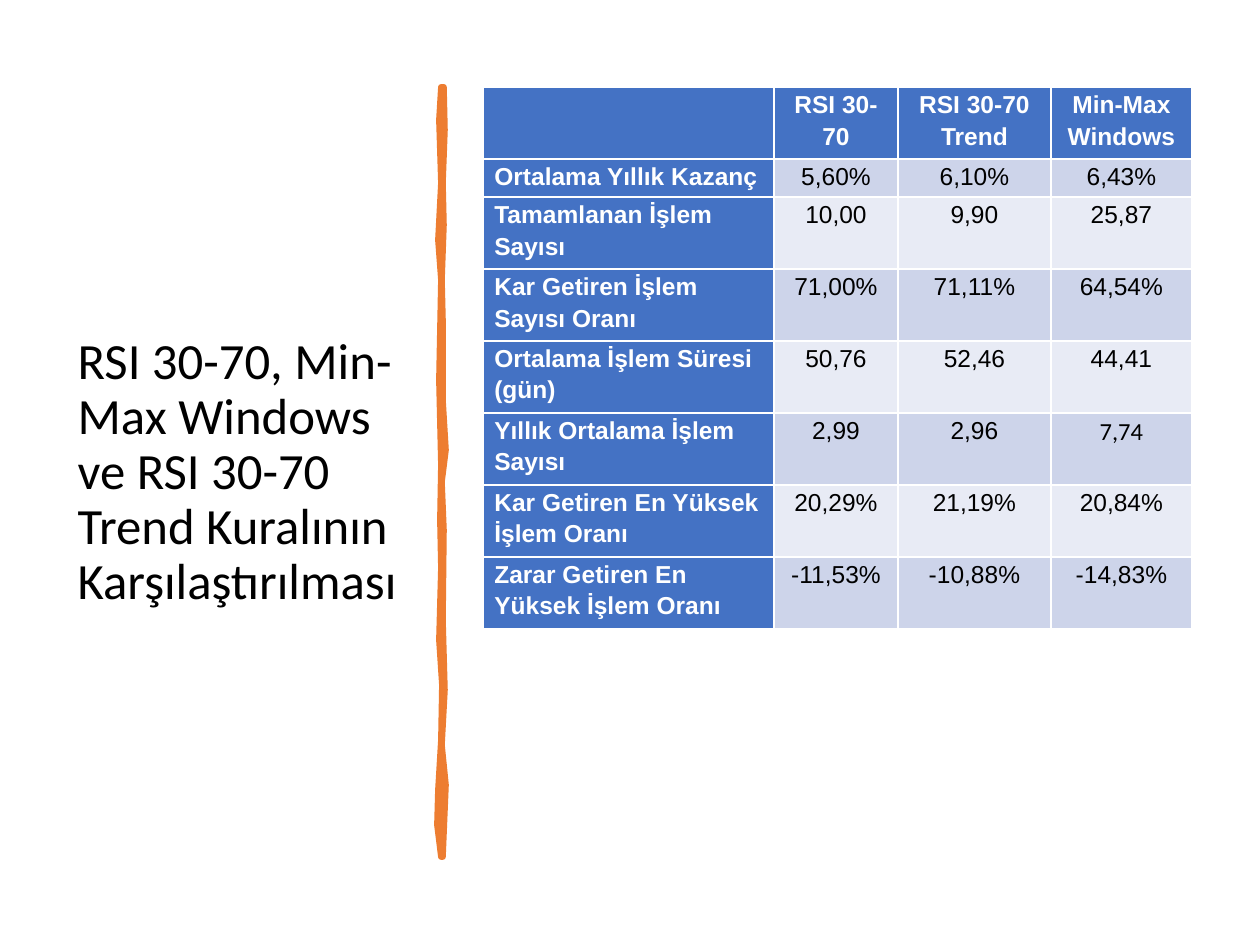
from pptx import Presentation
from pptx import util as u
from pptx.dml.color import RGBColor
from pptx.enum import text

COLOURS = {
    "black": "000000", "white": "FFFFFF", "header": "4472C4",
    "band_dark": "CDD4EA", "band_light": "E8EBF5", "divider": "ED7D31",
}
TITLE = "RSI 30-70, Min-Max Windows ve RSI 30-70 Trend Kuralının Karşılaştırılması"
ROWS = [
    ["", "RSI 30-70", "RSI 30-70 Trend", "Min-Max Windows"],
    ["Ortalama Yıllık Kazanç", "5,60%", "6,10%", "6,43%"],
    ["Tamamlanan İşlem Sayısı", "10,00", "9,90", "25,87"],
    ["Kar Getiren İşlem Sayısı Oranı", "71,00%", "71,11%", "64,54%"],
    ["Ortalama İşlem Süresi (gün)", "50,76", "52,46", "44,41"],
    ["Yıllık Ortalama İşlem Sayısı", "2,99", "2,96", "7,74"],
    ["Kar Getiren En Yüksek İşlem Oranı", "20,29%", "21,19%", "20,84%"],
    ["Zarar Getiren En Yüksek İşlem Oranı", "-11,53%", "-10,88%", "-14,83%"],
]
COLUMN_WIDTHS = [291, 124, 153, 141]
ROW_HEIGHTS = [72, 38] + [72] * 6
CALIBRI_CELL = (5, 3)
DIVIDER_LEFT = [
    (441, 87), (439, 120), (441, 183), (438, 240), (441, 280), (439, 380),
    (441, 465), (440, 520), (441, 568), (439, 640), (442, 685), (441, 740),
    (438, 790), (437, 825), (441, 857),
]
DIVIDER_RIGHT = [
    (444, 87), (445, 130), (443, 183), (444, 225), (442, 280), (443, 320),
    (443, 400), (446, 450), (442, 482), (444, 530), (443, 620), (445, 690),
    (442, 745), (446, 785), (443, 857),
]


def emu(px):
    return u.Emu(round(px * u.Inches(1) / 126))


def apply(target, **values):
    for name, value in values.items():
        setattr(target, name, value)


def colour(name):
    return RGBColor.from_string(COLOURS[name])


class SlideBuilder:
    def __init__(self, presentation):
        self.slide = presentation.slides.add_slide(presentation.slide_layouts[5])

    def add_words(self, frame, words, size, font="Arial", ink="black", bold=False,
                  align=text.PP_ALIGN.CENTER, spacing=1.15):
        paragraph = frame.paragraphs[0]
        apply(paragraph, alignment=align, line_spacing=spacing)
        run = paragraph.add_run()
        run.text = words
        apply(run.font, name=font, size=u.Pt(size), bold=bold)
        run.font.color.rgb = colour(ink)

    def title(self, words, left, top, width, height):
        shape = self.slide.shapes.title
        apply(shape, left=emu(left), top=emu(top), width=emu(width), height=emu(height))
        apply(shape.text_frame, word_wrap=True, auto_size=text.MSO_AUTO_SIZE.NONE,
              vertical_anchor=text.MSO_ANCHOR.MIDDLE)
        self.add_words(shape.text_frame, words, 29, "Calibri",
                       align=text.PP_ALIGN.LEFT, spacing=0.9)

    def brush_stroke(self, left_edge, right_edge, ink):
        """Draw a closed outline down one edge and back up the other."""
        start, *others = left_edge + right_edge[::-1]
        builder = self.slide.shapes.build_freeform(*start, scale=emu(1))
        builder.add_line_segments(others)
        shape = builder.convert_to_shape()
        shape.shadow.inherit = False
        shape.fill.solid()
        shape.fill.fore_color.rgb = colour(ink)
        shape.line.color.rgb = colour(ink)
        shape.line.width = u.Pt(3.25)

    def table(self, rows, left, top, widths, heights):
        table = self.slide.shapes.add_table(
            len(rows), len(widths), emu(left), emu(top),
            emu(sum(widths)), emu(sum(heights))).table
        apply(table, first_row=True, first_col=True)
        for column, width in zip(table.columns, widths):
            column.width = emu(width)
        for row, height in zip(table.rows, heights):
            row.height = emu(height)
        for i, row in enumerate(rows):
            for j, words in enumerate(row):
                self.cell(table.cell(i, j), words, i, j)

    def cell(self, cell, words, i, j):
        heading = i == 0 or j == 0
        band = "band_dark" if i % 2 else "band_light"
        apply(cell, margin_left=u.Inches(0.09), margin_right=u.Inches(0.09),
              margin_top=0, margin_bottom=0)
        cell.fill.solid()
        cell.fill.fore_color.rgb = colour("header" if heading else band)
        if words:
            self.add_words(cell.text_frame, words, 14,
                           font="Calibri" if (i, j) == CALIBRI_CELL else "Arial",
                           ink="white" if heading else "black", bold=heading,
                           align=text.PP_ALIGN.CENTER if j else text.PP_ALIGN.LEFT)


def main():
    presentation = Presentation()
    apply(presentation, slide_width=emu(1260), slide_height=emu(945))
    builder = SlideBuilder(presentation)
    builder.title(TITLE, 65, 88, 354, 770)
    builder.brush_stroke(DIVIDER_LEFT, DIVIDER_RIGHT, "divider")
    builder.table(ROWS, 483, 87, COLUMN_WIDTHS, ROW_HEIGHTS)
    presentation.save("out.pptx")


if __name__ == "__main__":
    main()
